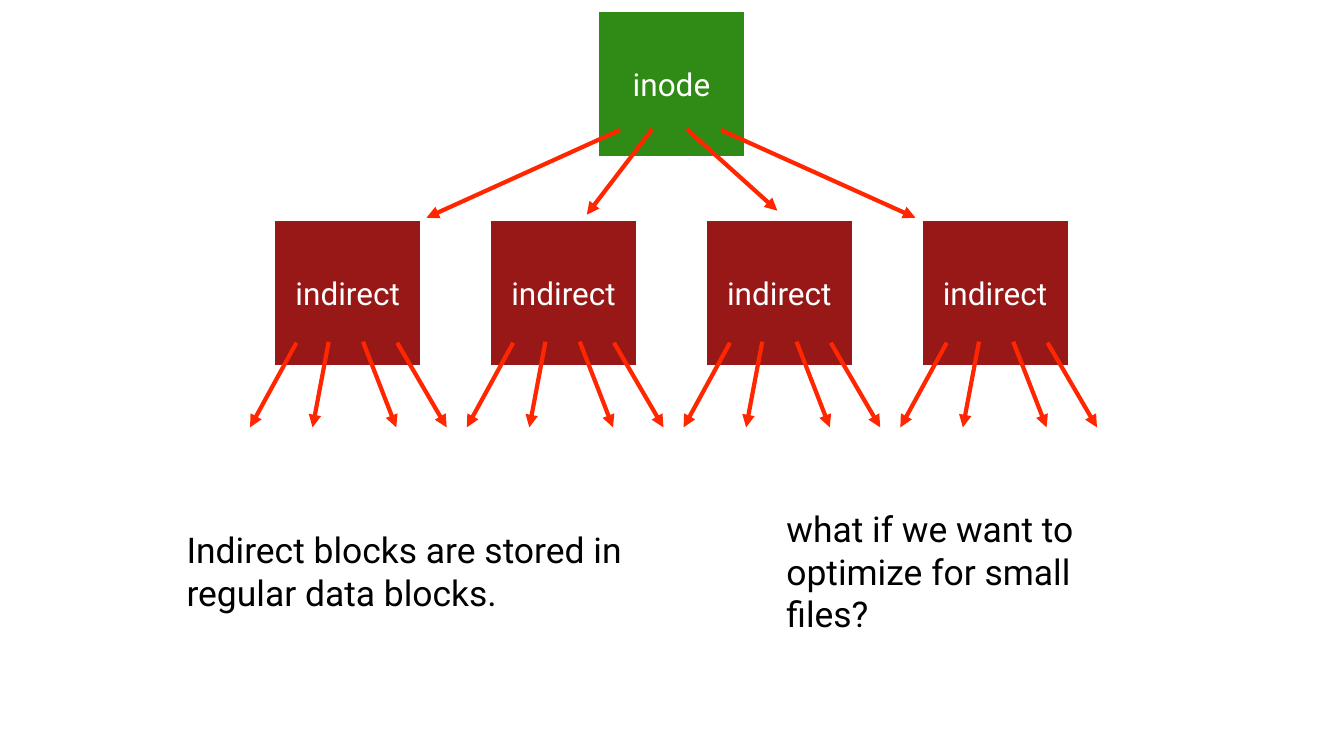
from lxml import etree
from pptx import Presentation
from pptx.dml.color import RGBColor
from pptx.enum import shapes, text
from pptx.oxml.ns import qn
from pptx.util import Inches, Pt

COLORS = {"inode": "308B16", "indirect": "971817", "arrow": "FF2600",
          "white": "FFFFFF", "black": "000000"}
FONT = "Roboto"

BLOCK_W, BLOCK_H = 1.48, 1.47
INODE_AT = (5.92, 0.1)
INDIRECT_AT = (2.71, 2.17)
INDIRECT_COUNT = 4
BLOCK_PITCH, ARROW_PITCH = 2.14, 2.15

# Each arrow: start x, start y, end x, end y
INODE_ARROWS = [
    (7.15, 1.29, 9.08, 2.16),
    (6.15, 1.29, 4.23, 2.16),
    (6.81, 1.28, 7.71, 2.09),
    (6.47, 1.28, 5.82, 2.13),
]
INDIRECT_ARROWS = [
    (3.94, 3.4, 4.43, 4.24),
    (2.94, 3.4, 2.48, 4.24),
    (3.6, 3.39, 3.93, 4.24),
    (3.26, 3.39, 3.1, 4.24),
]
# Each note: left, width, lines
NOTES = [
    (1.81, 4.42, ["Indirect blocks are stored in", "regular data blocks."]),
    (7.76, 3.77, ["what if we want to", "optimize for small files?"]),
]
NOTE_TOP, NOTE_H = 5.2, 0.93


def rgb(name):
    return RGBColor.from_string(COLORS[name])


def write(sp, lines, size, color, align, inset):
    tf = sp.text_frame
    tf.word_wrap = True
    tf.vertical_anchor = text.MSO_ANCHOR.MIDDLE
    tf.margin_left = tf.margin_right = Inches(inset)
    tf.margin_top = tf.margin_bottom = Inches(inset)
    for i, line in enumerate(lines):
        p = tf.add_paragraph() if i else tf.paragraphs[0]
        p.text = line
        p.alignment = align
        p.font.size = Pt(size)
        p.font.name = FONT
        p.font.color.rgb = rgb(color)


def add_block(slide, label, x, y):
    sp = slide.shapes.add_shape(shapes.MSO_SHAPE.RECTANGLE, Inches(x), Inches(y),
                                Inches(BLOCK_W), Inches(BLOCK_H))
    sp.shadow.inherit = False
    sp.fill.solid()
    sp.fill.fore_color.rgb = rgb(label)
    sp.line.color.rgb = rgb("white")
    sp.line.width = Pt(3)
    write(sp, [label], 22.5, "white", text.PP_ALIGN.CENTER, 0)


def add_arrow(slide, x1, y1, x2, y2):
    line = slide.shapes.add_connector(shapes.MSO_CONNECTOR.STRAIGHT, Inches(x1),
                                      Inches(y1), Inches(x2), Inches(y2))
    line.line.color.rgb = rgb("arrow")
    line.line.width = Pt(3)
    etree.SubElement(line.line._get_or_add_ln(), qn("a:tailEnd"), type="triangle")
    etree.SubElement(line._element.spPr, qn("a:effectLst"))


def main():
    prs = Presentation()
    prs.slide_width, prs.slide_height = Inches(13.33), Inches(7.5)
    slide = prs.slides.add_slide(prs.slide_layouts[6])

    add_block(slide, "inode", *INODE_AT)
    left, top = INDIRECT_AT
    for i in range(INDIRECT_COUNT):
        add_block(slide, "indirect", left + i * BLOCK_PITCH, top)

    for arrow in INODE_ARROWS:
        add_arrow(slide, *arrow)
    for i in range(INDIRECT_COUNT):
        dx = i * ARROW_PITCH
        for x1, y1, x2, y2 in INDIRECT_ARROWS:
            add_arrow(slide, x1 + dx, y1, x2 + dx, y2)

    for x, width, lines in NOTES:
        sp = slide.shapes.add_textbox(Inches(x), Inches(NOTE_TOP),
                                      Inches(width), Inches(NOTE_H))
        write(sp, lines, 25.3, "black", text.PP_ALIGN.LEFT, 0.04)

    prs.save("out.pptx")


if __name__ == "__main__":
    main()
